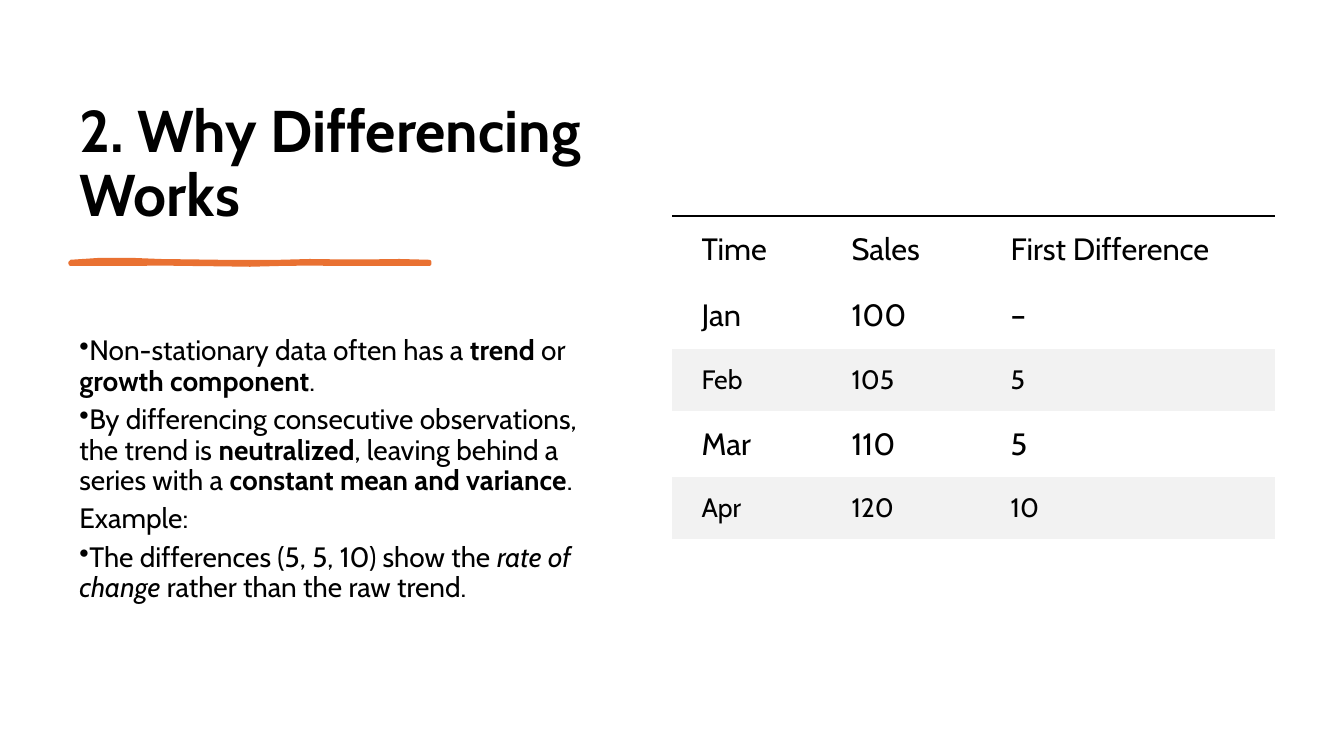
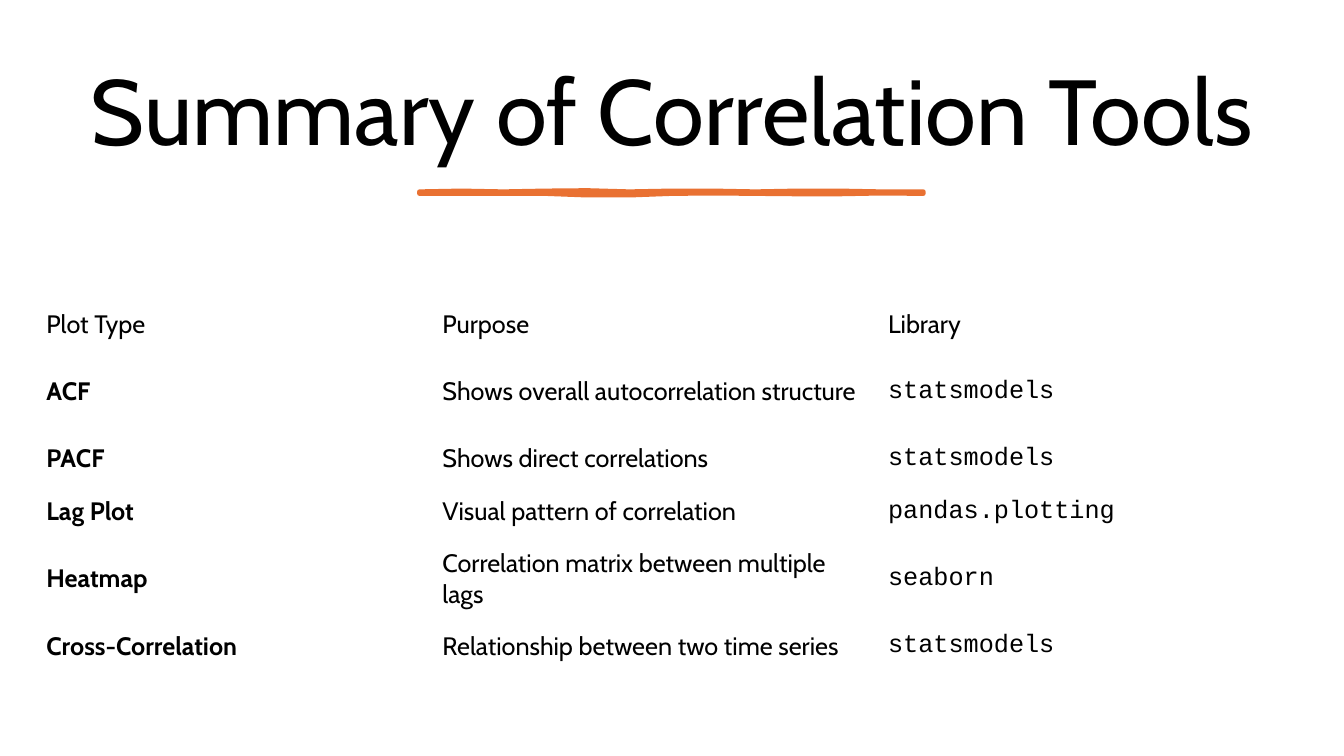
"""Build two slides on differencing and correlation tools."""
from dataclasses import dataclass

from lxml import etree
from pptx import Presentation
from pptx.dml.color import RGBColor
from pptx.enum.text import MSO_ANCHOR, PP_ALIGN
from pptx.oxml.ns import qn
from pptx.util import Cm, Pt

TOP, MIDDLE, BOTTOM = MSO_ANCHOR.TOP, MSO_ANCHOR.MIDDLE, MSO_ANCHOR.BOTTOM
LEFT, CENTER = PP_ALIGN.LEFT, PP_ALIGN.CENTER


@dataclass(frozen=True)
class Theme:
    """Colours, fonts and type sizes shared by the slides."""
    ink: RGBColor = RGBColor(0x00, 0x00, 0x00)
    paper: RGBColor = RGBColor(0xFF, 0xFF, 0xFF)
    accent: RGBColor = RGBColor(0xE9, 0x71, 0x32)
    band: RGBColor = RGBColor(0xF2, 0xF2, 0xF2)
    font: str = "Cabin"
    code_font: str = "Courier New"
    title: Pt = Pt(42)
    big_title: Pt = Pt(66)
    body: Pt = Pt(20)
    cell: Pt = Pt(22)
    band_cell: Pt = Pt(19)
    tool_cell: Pt = Pt(18)
    line_spacing: float = 0.9
    rule: Pt = Pt(2.25)
    no_grid_style: str = "{2D5ABB26-0587-4C30-8999-92F81FD0307C}"


theme = Theme()
PLAIN, BOLD, ITALIC = {}, {"bold": True}, {"italic": True}
CODE = {"name": theme.code_font}


def write_spans(para, spans, size):
    """Add formatted runs to a paragraph."""
    for text, changes in spans:
        span = para.add_run()
        span.text = text
        formats = {"name": theme.font, "size": size, "bold": False, "italic": False}
        for name, value in (formats | changes).items():
            setattr(span.font, name, value)
        span.font.color.rgb = theme.ink


def add_text(page, area, paragraphs, size, anchor=TOP, align=LEFT, space_after=0):
    """Add a wrapped text box of (bulleted, spans) paragraphs."""
    box = page.shapes.add_textbox(*map(Cm, area))
    frame = box.text_frame
    frame.word_wrap, frame.vertical_anchor = True, anchor
    for index, (bulleted, spans) in enumerate(paragraphs):
        para = frame.add_paragraph() if index else frame.paragraphs[0]
        layout = {"alignment": align, "line_spacing": theme.line_spacing,
                  "space_after": Pt(space_after)}
        for name, value in layout.items():
            setattr(para, name, value)
        if bulleted:
            properties = para._p.get_or_add_pPr()
            properties.set("marL", "0")
            properties.set("indent", str(-Cm(0.64)))
            etree.SubElement(properties, qn("a:buChar"), char="•")
        write_spans(para, spans, size)


slides = [
    {
        "title": "2. Why Differencing Works",
        "title_area": (1.75, 1.78, 13.39, 4.11),
        "title_format": {"size": theme.title, "anchor": BOTTOM},
        "title_style": BOLD,
        "stroke": (1.78, 6.6, 9.04), "stroke_width": Pt(3),
        "upper": (0, -0.05, -0.05, -0.02, -0.01, 0, 0, 0, -0.02, -0.01, -0.01, -0.02, 0),
        "lower": (0.05, 0.05, 0.05, 0.04, 0.05, 0.06, 0.07, 0.05, 0.04, 0.05, 0.05, 0.05, 0.05),
        "body": [
            (True, [("Non-stationary data often has a ", PLAIN), ("trend", BOLD),
                    (" or ", PLAIN), ("growth component", BOLD), (".", PLAIN)]),
            (True, [("By differencing consecutive observations, the trend is ", PLAIN),
                    ("neutralized", BOLD), (", leaving behind a series with a ", PLAIN),
                    ("constant mean and variance", BOLD), (".", PLAIN)]),
            (False, [("Example:", PLAIN)]),
            (True, [("The differences (5, 5, 10) show the ", PLAIN),
                    ("rate of change", ITALIC), (" rather than the raw trend.", PLAIN)]),
        ],
        "table_at": (16.94, 5.44),
        "columns": (3.78, 4.01, 7.39),
        "heights": (1.68, 1.68, 1.55, 1.68, 1.55),
        "margins": (0.74, 0.28, 0.74, 0.28),
        "sizes": (theme.cell, theme.band_cell),
        "column_styles": (PLAIN, PLAIN, PLAIN),
        "banded": True,
        "rows": [
            ("Time", "Sales", "First Difference"),
            ("Jan", "100", "–"),
            ("Feb", "105", "5"),
            ("Mar", "110", "5"),
            ("Apr", "120", "10"),
        ],
    },
    {
        "title": "Summary of Correlation Tools",
        "title_area": (1.78, 1.17, 30.3, 3.48),
        "title_format": {"size": theme.big_title, "anchor": MIDDLE, "align": CENTER},
        "title_style": PLAIN,
        "stroke": (10.57, 4.83, 12.7), "stroke_width": Pt(3.25),
        "upper": (0, -0.02, 0, -0.02, -0.03, 0, -0.02, -0.02, 0, -0.02, -0.02, 0, 0),
        "lower": (0.05, 0.05, 0.05, 0.05, 0.09, 0.09, 0.05, 0.04, 0.05, 0.06, 0.06, 0.04, 0.05),
        "body": [],
        "table_at": (0.89, 7.57),
        "columns": (9.98, 11.23, 10.87),
        "heights": (1.32, 2.08, 1.32, 1.32, 2.08, 1.32),
        "margins": (0.28, 0.15, 0.28, 0.28),
        "sizes": (theme.tool_cell, theme.tool_cell),
        "column_styles": (BOLD, PLAIN, CODE),
        "banded": False,
        "rows": [
            ("Plot Type", "Purpose", "Library"),
            ("ACF", "Shows overall autocorrelation structure", "statsmodels"),
            ("PACF", "Shows direct correlations", "statsmodels"),
            ("Lag Plot", "Visual pattern of correlation", "pandas.plotting"),
            ("Heatmap", "Correlation matrix between multiple lags", "seaborn"),
            ("Cross-Correlation", "Relationship between two time series", "statsmodels"),
        ],
    },
]

deck = Presentation()
deck.slide_width, deck.slide_height = Cm(33.87), Cm(19.05)

for content in slides:
    page = deck.slides.add_slide(deck.slide_layouts[6])
    page.background.fill.solid()
    page.background.fill.fore_color.rgb = theme.paper

    title = [(False, [(content["title"], content["title_style"])])]
    add_text(page, content["title_area"], title, **content["title_format"])

    left, top, width = content["stroke"]
    step = width / (len(content["upper"]) - 1)
    upper, lower = ([(Cm(left + index * step), Cm(top + offset))
                     for index, offset in enumerate(content[edge])]
                    for edge in ("upper", "lower"))
    builder = page.shapes.build_freeform(*upper[0])
    builder.add_line_segments(upper[1:] + lower[::-1], close=True)
    stroke = builder.convert_to_shape()
    stroke.shadow.inherit = False
    stroke.fill.solid()
    stroke.fill.fore_color.rgb = theme.accent
    stroke.line.color.rgb = theme.accent
    stroke.line.width = content["stroke_width"]

    if content["body"]:
        add_text(page, (1.75, 8.36, 13.39, 8.89), content["body"], theme.body, space_after=6)

    rows, columns, heights = content["rows"], content["columns"], content["heights"]
    holder = page.shapes.add_table(len(rows), len(columns), *map(Cm, content["table_at"]),
                                   Cm(sum(columns)), Cm(sum(heights)))
    holder.element.find(".//" + qn("a:tableStyleId")).text = theme.no_grid_style
    table = holder.table
    table.first_row = table.horz_banding = False
    for column, width in zip(table.columns, columns):
        column.width = Cm(width)
    for row_index, (row, height, values) in enumerate(zip(table.rows, heights, rows)):
        row.height = Cm(height)
        shaded = content["banded"] and row_index > 0 and row_index % 2 == 0
        for cell, value, style in zip(row.cells, values, content["column_styles"]):
            cell.vertical_anchor = MIDDLE
            for side, margin in zip(("left", "top", "right", "bottom"), content["margins"]):
                setattr(cell, f"margin_{side}", Cm(margin))
            if shaded:
                cell.fill.solid()
                cell.fill.fore_color.rgb = theme.band
            else:
                cell.fill.background()
            if content["banded"] and row_index == 0:
                border = etree.Element(qn("a:lnT"), w=str(theme.rule))
                paint = etree.SubElement(border, qn("a:solidFill"))
                etree.SubElement(paint, qn("a:srgbClr"), val=str(theme.ink))
                cell._tc.get_or_add_tcPr().insert(0, border)
            write_spans(cell.text_frame.paragraphs[0],
                        [(value, style if row_index else PLAIN)], content["sizes"][shaded])

deck.save("out.pptx")
